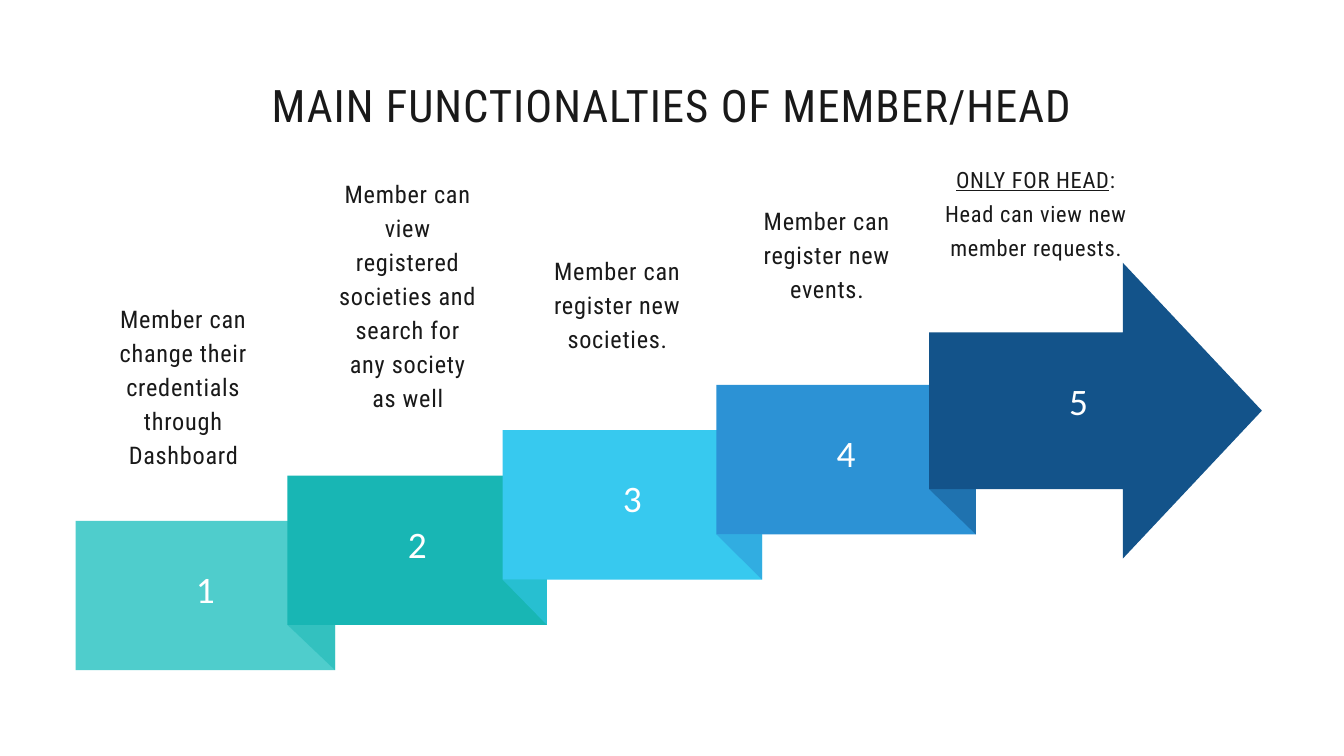
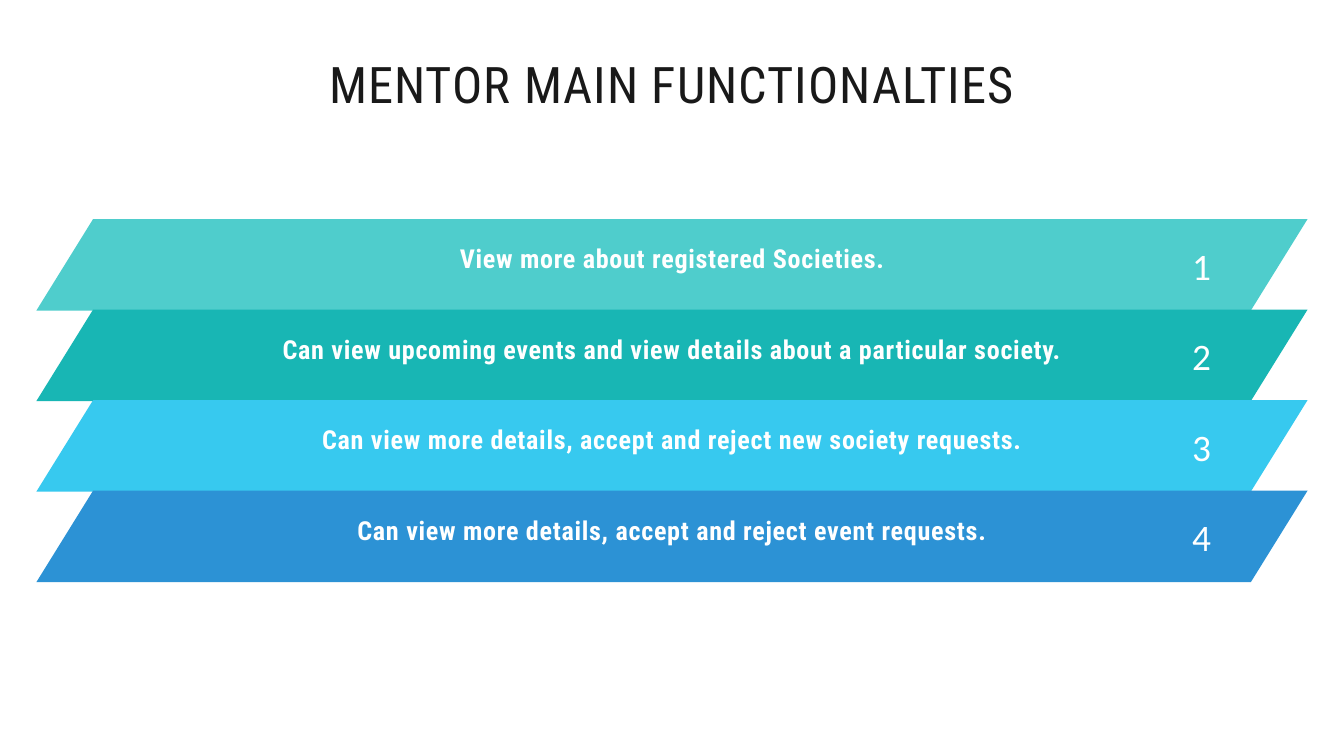
from lxml import etree
from pptx import Presentation
from pptx.dml.color import RGBColor
from pptx.enum.shapes import MSO_SHAPE as Shape
from pptx.enum.text import MSO_ANCHOR as Anchor, MSO_AUTO_SIZE as Fit, PP_ALIGN as Align
from pptx.oxml.ns import qn
from pptx.util import Pt

INK, WHITE = "191919", "FFFFFF"
TINTS = ["4FCDCC", "18B6B4", "37C9EF", "2C92D5", "13538A"]
HEAD_FONT, NUM_FONT = "Roboto Condensed", "Calibri"

# left edge of each step, then its caption's left, top, width, height and text
STEPS = [
    (81, (122.5, 320.5, 148, 180),
     "Member can change their credentials through Dashboard"),
    (308, (363, 187, 148, 253),
     "Member can view registered societies and search for any society as well"),
    (538.5, (587.5, 269.5, 148, 107), "Member can register new societies."),
    (767.5, (812, 215.5, 148, 143), "Member can register new events."),
]
HEAD_LEFT = 995.5
HEAD_NOTE = "Head can view new member requests."
TASKS = [
    "View more about registered Societies.",
    "Can view upcoming events and view details about a particular society.",
    "Can view more details, accept and reject new society requests.",
    "Can view more details, accept and reject event requests.",
]


def color(code):
    return RGBColor.from_string(code)


def place(shape, box):
    shape.left, shape.top, shape.width, shape.height = map(Pt, box)


def write(frame, text, size=26, font=HEAD_FONT, ink=INK, bold=False, lead=36.4,
          gap=0.8, inset=0, anchor=Anchor.TOP, under=""):
    """Fill a frame with centred text; `under` is an underlined lead-in."""
    frame.word_wrap, frame.auto_size = True, Fit.NONE
    frame.vertical_anchor = anchor
    frame.margin_left = frame.margin_right = Pt(inset)
    frame.margin_top = frame.margin_bottom = Pt(inset)
    para = frame.paragraphs[0]
    para.alignment, para.line_spacing = Align.CENTER, Pt(lead)

    def add(words, line=False):
        run = para.add_run()
        run.text = words
        face = run.font
        face.name, face.size = font, Pt(size)
        face.bold, face.underline = bold, line
        face.color.rgb = color(ink)
        run._r.get_or_add_rPr().set("spc", str(round(gap * 100)))

    if under:
        add(under, True)
        add(":")
        para.add_line_break()
    add(text)


def label(slide, box, text, **style):
    write(slide.shapes.add_textbox(*map(Pt, box)).text_frame, text, **style)


def number(slide, box, value, **style):
    label(slide, box, str(value), size=40, font=NUM_FONT, ink=WHITE, lead=56, **style)


def paint(shape, tint, alpha=None):
    shape.shadow.inherit = False
    shape.fill.solid()
    shape.fill.fore_color.rgb = color(tint)
    shape.line.fill.background()
    if alpha:
        node = shape.element.spPr.find(f"{qn('a:solidFill')}/{qn('a:srgbClr')}")
        etree.SubElement(node, qn("a:alpha")).set("val", str(alpha * 1000))


def block(slide, kind, box, tint, *ratios):
    shape = slide.shapes.add_shape(kind, *map(Pt, box))
    for i, ratio in enumerate(ratios):
        shape.adjustments[i] = ratio
    paint(shape, tint)


def fold(slide, box, tint):
    """Half-clear triangle that links a step to the next one."""
    x, y, w, h = box
    pen = slide.shapes.build_freeform(Pt(x), Pt(y))
    pen.add_line_segments([(Pt(x + w), Pt(y)), (Pt(x + w), Pt(y + h))])
    paint(pen.convert_to_shape(), tint, 50)


def start(deck, title, box, size):
    slide = deck.slides.add_slide(deck.slide_layouts[5])
    place(slide.shapes.title, box)
    write(slide.shapes.title.text_frame, title, size=size, lead=47.2, gap=1.1)
    return slide


def step(slide, box, value, tint):
    x, y, w, h = box
    block(slide, Shape.RECTANGLE, box, tint)
    number(slide, (x, y - 23, w, h + 23), value, gap=2, inset=4, anchor=Anchor.MIDDLE)


def arrow(slide, box, value, tint):
    x, y, w, h = box
    block(slide, Shape.RIGHT_ARROW, box, tint, 0.53, 0.47)
    number(slide, (x, y + 46, w - 36.5, 196), value, gap=2, inset=4,
           anchor=Anchor.MIDDLE)


def stairs(deck):
    slide = start(deck, "MAIN FUNCTIONALTIES OF MEMBER/HEAD",
                  (279.5, 93.5, 881, 49), 48)
    wide, high, rise, top = 278, 160, 48.5, 558
    edges = [item[0] for item in STEPS] + [HEAD_LEFT]
    for i, (left, box, text) in enumerate(STEPS):
        y = top - i * rise
        step(slide, (left, y, wide, high), i + 1, TINTS[i])
        fold(slide, (edges[i + 1], y + high - rise, left + wide - edges[i + 1], rise),
             TINTS[i + 1])
        label(slide, box, text)
    arrow(slide, (HEAD_LEFT, 281.5, 356.5, 317), 5, TINTS[4])
    label(slide, (1008, 170, 204, 106.5), HEAD_NOTE, size=24, under="ONLY FOR HEAD")


def bar(slide, box, value, text, tint):
    x, y, w, h = box
    block(slide, Shape.PARALLELOGRAM, box, tint, 0.62)
    label(slide, (x + 31, y - 17, w - 61, h + 17), text, size=28, ink=WHITE,
          bold=True, inset=4, anchor=Anchor.MIDDLE)
    number(slide, (x + 1221, y + 17.5, 54.5, 53), value, gap=1.2)


def bars(deck):
    slide = start(deck, "MENTOR MAIN FUNCTIONALTIES", (279.5, 74, 881, 50.5), 54)
    for i, text in enumerate(TASKS):
        bar(slide, (39, 234.7 + i * 97, 1362, 98), i + 1, text, TINTS[i])


def main():
    deck = Presentation()
    deck.slide_width, deck.slide_height = Pt(1440), Pt(810)
    stairs(deck)
    bars(deck)
    deck.save("out.pptx")


if __name__ == "__main__":
    main()
